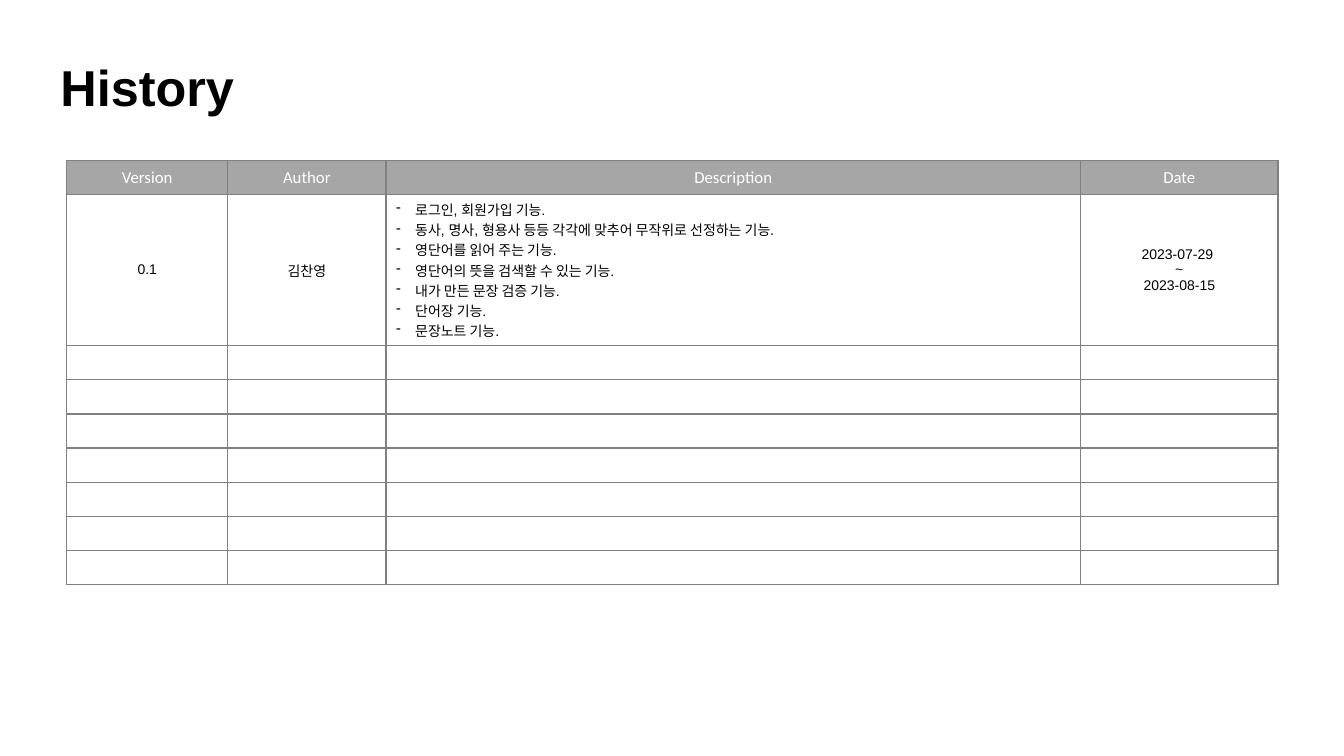
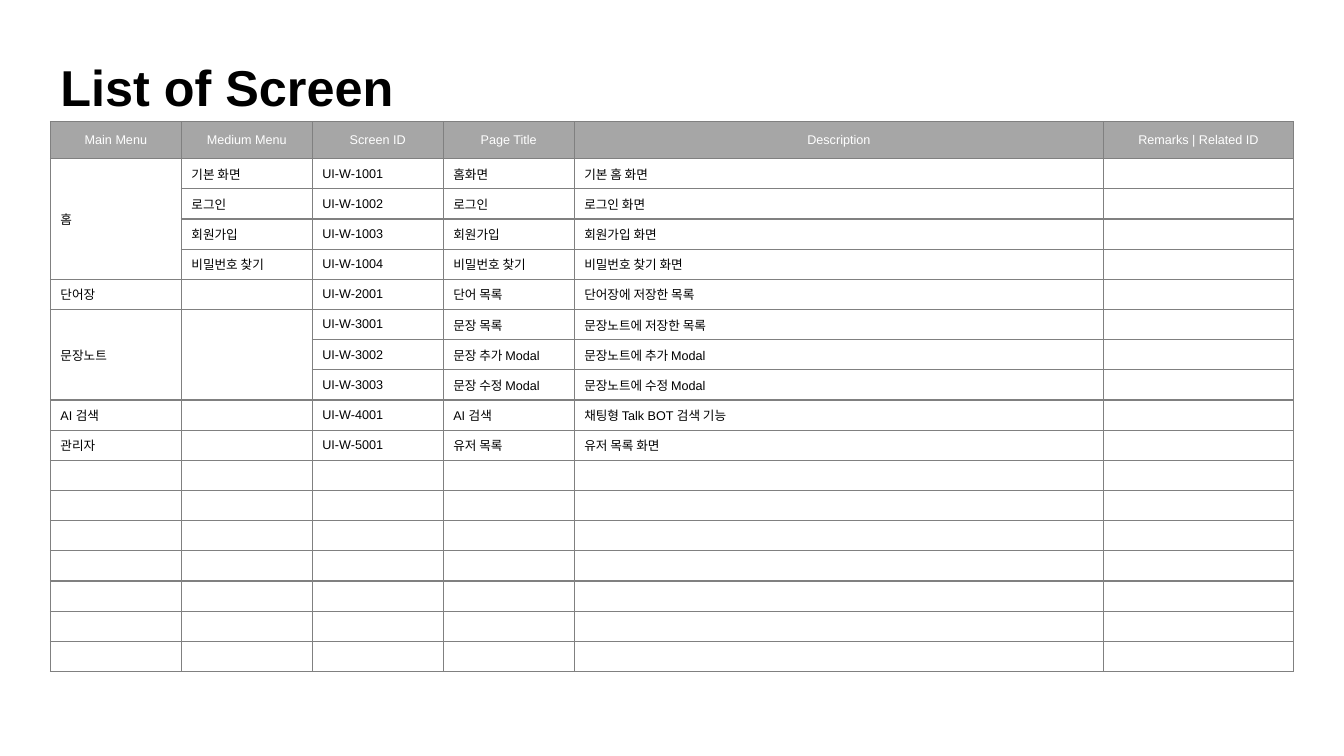
from itertools import zip_longest

from lxml.etree import SubElement
from pptx import Presentation
from pptx.dml.color import RGBColor
from pptx.enum.text import MSO_ANCHOR as Anchor, PP_ALIGN as Align
from pptx.oxml.ns import qn
from pptx.util import Cm, Pt

COLORS = {"text": "000000", "header": "A6A6A6", "header_text": "FFFFFF",
          "cell": "FFFFFF", "border": "808080"}
MERGE_UP = None  # the cell belongs to the one above it

HISTORY = [
    ["Version", "Author", "Description", "Date"],
    ["0.1", "김찬영",
     ["로그인, 회원가입 기능.",
      "동사, 명사, 형용사 등등 각각에 맞추어 무작위로 선정하는 기능.",
      "영단어를 읽어 주는 기능.",
      "영단어의 뜻을 검색할 수 있는 기능.",
      "내가 만든 문장 검증 기능.",
      "단어장 기능.",
      "문장노트 기능."],
     "2023-07-29 \n~\n2023-08-15"],
] + [[""] * 4] * 7

SCREENS = [
    ["Main Menu", "Medium Menu", "Screen ID", "Page Title", "Description",
     "Remarks | Related ID"],
    ["홈", "기본 화면", "UI-W-1001", "홈화면", "기본 홈 화면", ""],
    [MERGE_UP, "로그인", "UI-W-1002", "로그인", "로그인 화면", ""],
    [MERGE_UP, "회원가입", "UI-W-1003", "회원가입", "회원가입 화면", ""],
    [MERGE_UP, "비밀번호 찾기", "UI-W-1004", "비밀번호 찾기", "비밀번호 찾기 화면", ""],
    ["단어장", "", "UI-W-2001", "단어 목록", "단어장에 저장한 목록", ""],
    ["문장노트", "", "UI-W-3001", "문장 목록", "문장노트에 저장한 목록", ""],
    [MERGE_UP, MERGE_UP, "UI-W-3002", "문장 추가 Modal", "문장노트에 추가 Modal", ""],
    [MERGE_UP, MERGE_UP, "UI-W-3003", "문장 수정 Modal", "문장노트에 수정 Modal", ""],
    ["AI 검색", "", "UI-W-4001", "AI 검색", "채팅형 Talk BOT 검색 기능", ""],
    ["관리자", "", "UI-W-5001", "유저 목록", "유저 목록 화면", ""],
] + [[""] * 6] * 7


class Deck:
    """Holds the presentation, its style and the current slide."""

    def __init__(self):
        self.prs = Presentation()
        self.prs.slide_width, self.prs.slide_height = Cm(33.87), Cm(19.05)
        self.slide = None

    def style(self, paragraph, size, color, align=Align.LEFT, font="Arial", bold=False):
        paragraph.alignment = align
        face = paragraph.font
        face.name, face.size, face.bold = font, Pt(size), bold
        face.color.rgb = RGBColor.from_string(COLORS[color])
        if not paragraph.runs:
            SubElement(paragraph._p, qn("a:endParaRPr"), sz=str(size * 100))

    def new_slide(self, heading):
        self.slide = self.prs.slides.add_slide(self.prs.slide_layouts[5])
        title = self.slide.shapes.title
        title.left, title.top, title.width, title.height = Cm(1.27), Cm(1.27), Cm(30), Cm(1.8)
        title.text_frame.text = heading
        title.text_frame.vertical_anchor = Anchor.MIDDLE
        self.style(title.text_frame.paragraphs[0], 36, "text", bold=True)

    def dash(self, paragraph):
        """Turn the paragraph into a list item with a hanging dash."""
        props = paragraph._p.get_or_add_pPr()
        props.set("marL", str(Cm(0.48)))
        props.set("indent", str(-Cm(0.48)))
        SubElement(props, qn("a:buFontTx"))
        SubElement(props, qn("a:buChar"), char="-")

    def border(self, cell):
        props = cell._tc.get_or_add_tcPr()
        for side in ("lnL", "lnR", "lnT", "lnB"):
            line = SubElement(props, qn(f"a:{side}"), w=str(Pt(1)))
            fill = SubElement(line, qn("a:solidFill"))
            SubElement(fill, qn("a:srgbClr"), val=COLORS["border"])

    def cell(self, cell, content, fill, **text_style):
        """Fill one cell; a list becomes dashed items, left-aligned."""
        self.border(cell)
        cell.fill.solid()
        cell.fill.fore_color.rgb = RGBColor.from_string(COLORS[fill])
        cell.vertical_anchor = Anchor.MIDDLE
        listed = isinstance(content, list)
        cell.text_frame.text = "\n".join(content) if listed else content or ""
        if listed:
            text_style["align"] = Align.LEFT
        for paragraph in cell.text_frame.paragraphs:
            if listed:
                self.dash(paragraph)
            self.style(paragraph, **text_style)

    def table(self, rows, left, top, widths, heights, header_style, body_style):
        """Draw rows; the last of heights serves all remaining rows."""
        heights = [height for _, height in zip_longest(rows, heights, fillvalue=heights[-1])]
        table = self.slide.shapes.add_table(
            len(rows), len(widths), Cm(left), Cm(top), Cm(sum(widths)), Cm(sum(heights))).table
        table.horz_banding = table.first_row = False
        for column, width in zip(table.columns, widths):
            column.width = Cm(width)
        for r, (contents, height) in enumerate(zip(rows, heights)):
            table.rows[r].height = Cm(height)
            for c, content in enumerate(contents):
                if r == 0:
                    self.cell(table.cell(r, c), content, "header", color="header_text",
                              align=Align.CENTER, **header_style)
                else:
                    self.cell(table.cell(r, c), content, "cell", color="text", **body_style)
        self.merge(table, rows)

    def merge(self, table, rows):
        for c, column in enumerate(zip(*rows)):
            start = 0
            for r, content in enumerate(column):
                if content is not MERGE_UP:
                    start = r
                elif r + 1 == len(column) or column[r + 1] is not MERGE_UP:
                    table.cell(start, c).merge(table.cell(r, c))


def main():
    deck = Deck()
    deck.new_slide("History")
    deck.table(HISTORY, 1.68, 4.04, [4.06, 3.99, 17.5, 4.98], [0.86, 3.8, 0.86],
               {"size": 12, "font": "Calibri"}, {"size": 10, "align": Align.CENTER})
    deck.new_slide("List of Screen")
    deck.table(SCREENS, 1.27, 3.07, [3.3] * 4 + [13.34, 4.78], [0.93, 0.76],
               {"size": 9}, {"size": 9})
    deck.prs.save("out.pptx")


if __name__ == "__main__":
    main()
